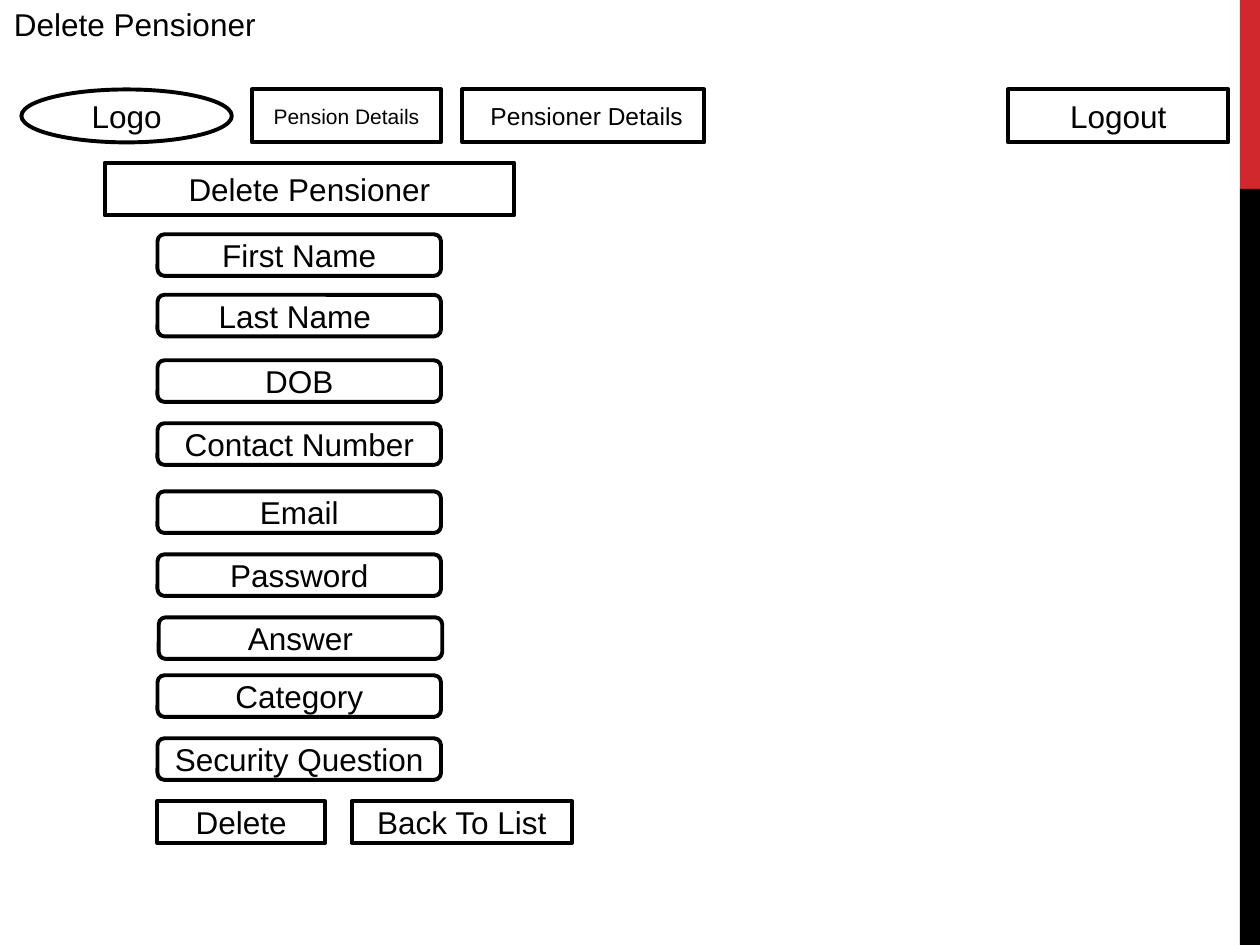
from pptx import Presentation
from pptx import util as u
from pptx.dml.color import RGBColor
from pptx.enum import shapes, text

COLORS = {"paper": "FFFFFF", "ink": "000000", "accent": "D1282E"}
FORMS = shapes.MSO_SHAPE
LINE_WIDTH = 2.25


def write(shape, label, size, wrap=True):
    """Put one centred line of text in a shape."""
    frame = shape.text_frame
    frame_format = {"word_wrap": wrap, "vertical_anchor": text.MSO_ANCHOR.MIDDLE}
    for name, value in frame_format.items():
        setattr(frame, name, value)
    paragraph = frame.paragraphs[0]
    paragraph.alignment = text.PP_ALIGN.CENTER
    run = paragraph.add_run()
    run.text = label
    font_format = {"name": "Arial", "size": u.Pt(size)}
    for name, value in font_format.items():
        setattr(run.font, name, value)
    run.font.color.rgb = RGBColor.from_string(COLORS["ink"])


def add_block(slide, form, box, fill):
    """Add a plain filled shape without a line."""
    shape = slide.shapes.add_shape(form, *map(u.Inches, box))
    shape.shadow.inherit = False
    shape.fill.solid()
    shape.fill.fore_color.rgb = RGBColor.from_string(COLORS[fill])
    shape.line.fill.background()
    return shape


def add_control(slide, form, box, label, size=18):
    """Add an outlined wireframe control with its label."""
    shape = add_block(slide, form, box, "paper")
    shape.line.color.rgb = RGBColor.from_string(COLORS["ink"])
    shape.line.width = u.Pt(LINE_WIDTH)
    write(shape, label, size)


def add_side_band(slide, box):
    """Draw the two-colour band, one fifth accent and the rest ink."""
    left, top, width, height = box
    split = height / 5
    add_block(slide, FORMS.RECTANGLE, (left, top, width, split), "accent")
    add_block(slide, FORMS.RECTANGLE, (left, top + split, width, height - split), "ink")


def add_title(slide, box):
    """Write the page title."""
    title = slide.shapes.add_textbox(*map(u.Inches, box))
    write(title, "Delete Pensioner", 18, wrap=False)
    title.text_frame.auto_size = text.MSO_AUTO_SIZE.SHAPE_TO_FIT_TEXT


def add_row(slide, box, controls):
    """Place controls side by side; each gives form, offset, width, label and size."""
    left, top, _, height = box
    for form, offset, width, label, size in controls:
        add_control(slide, form, (left + offset, top, width, height), label, size)


def add_fields(slide, box, fields, row_height):
    """Stack fields at an equal pitch; each gives label and its nudge right and down."""
    left, top, width, height = box
    pitch = height / len(fields)
    for row, (label, right, down) in enumerate(fields):
        field_box = (left + right, top + row * pitch + down, width, row_height)
        add_control(slide, FORMS.ROUNDED_RECTANGLE, field_box, label)


def build():
    """Build the delete pensioner page."""
    presentation = Presentation()
    presentation.slide_width, presentation.slide_height = u.Inches(10), u.Inches(7.5)
    slide = presentation.slides.add_slide(presentation.slide_layouts[6])
    add_side_band(slide, (9.84, 0, 0.16, 7.5))
    add_title(slide, (0, -0.01, 2.14, 0.4))
    add_row(slide, (0.17, 0.71, 9.58, 0.42), [
        (FORMS.OVAL, 0, 1.67, "Logo", 18),
        (FORMS.RECTANGLE, 1.83, 1.5, "Pension Details", 12),
        (FORMS.RECTANGLE, 3.5, 1.92, " Pensioner Details", 14),
        (FORMS.RECTANGLE, 7.83, 1.75, "Logout", 18),
    ])
    add_control(slide, FORMS.RECTANGLE, (0.83, 1.29, 3.25, 0.42), "Delete Pensioner")
    add_fields(slide, (1.25, 1.86, 2.25, 4.5), [
        ("First Name", 0, 0),
        ("Last Name ", 0, -0.02),
        ("DOB", 0, 0),
        ("Contact Number", 0, 0),
        ("Email", 0, 0.04),
        ("Password", 0, 0.04),
        ("Answer", 0.01, 0.04),
        ("Category", 0, 0),
        ("Security Question", 0, 0),
    ], 0.33)
    add_row(slide, (1.25, 6.36, 3.29, 0.33), [
        (FORMS.RECTANGLE, 0, 1.33, "Delete", 18),
        (FORMS.RECTANGLE, 1.54, 1.75, "Back To List", 18),
    ])
    presentation.save("out.pptx")


build()
